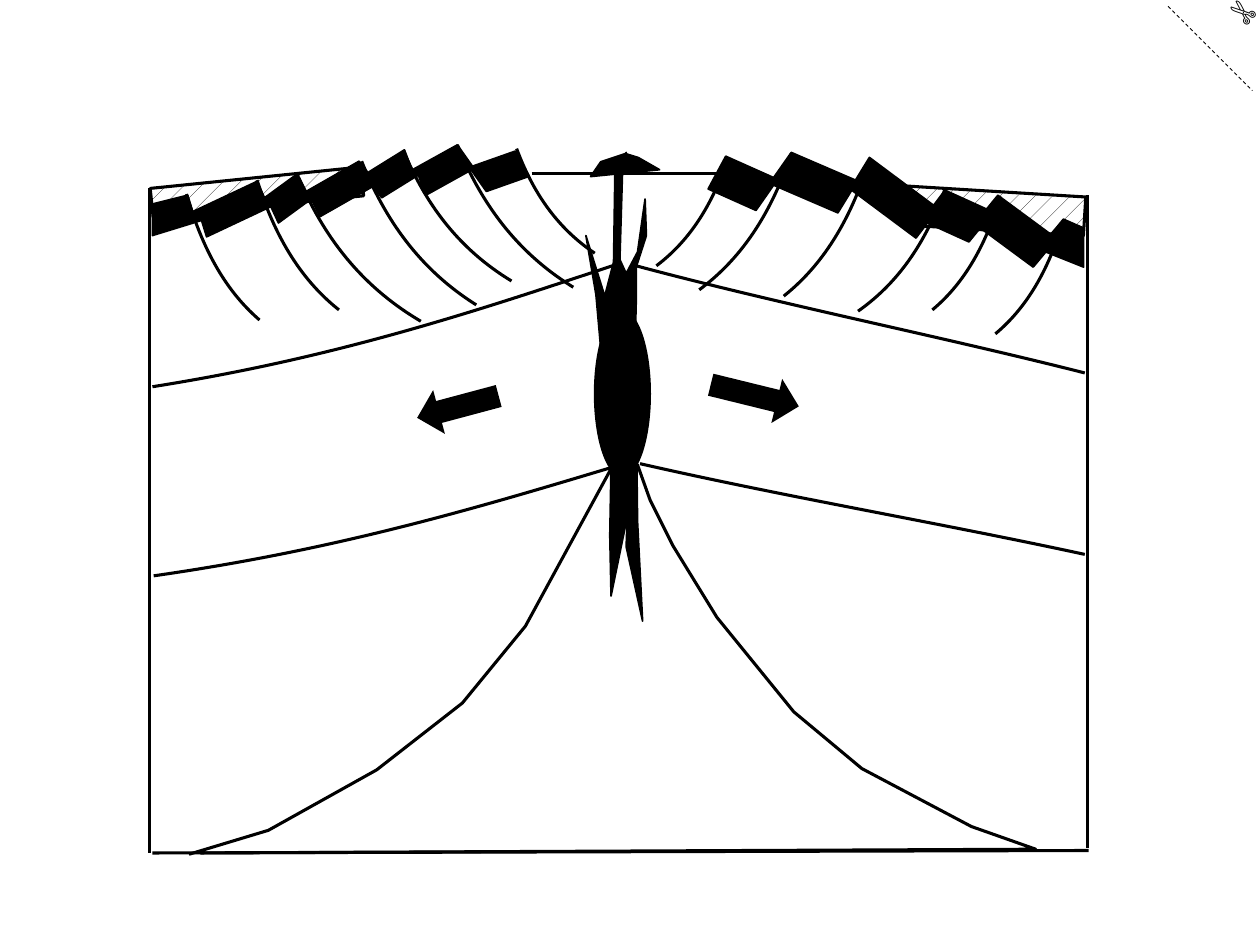
import dataclasses

import lxml.etree
import pptx
import pptx.dml.color
import pptx.enum.dml
import pptx.enum.shapes
import pptx.enum.text
import pptx.oxml.ns
import pptx.util


@dataclasses.dataclass(frozen=True)
class Theme:
    ink = pptx.dml.color.RGBColor(0, 0, 0)
    paper = pptx.dml.color.RGBColor(255, 255, 255)
    font = "Arial"
    size = pptx.util.Pt(18)
    thick = pptx.util.Pt(1.75)
    thin = pptx.util.Pt(1)
    fine = pptx.util.Pt(0.5)


theme = Theme()
qn = pptx.oxml.ns.qn
kinds = pptx.enum.shapes.MSO_SHAPE


def cm(*inches):
    return [pptx.util.Cm(2.54 * n) for n in inches]


def draw(home, spots, width, solid=False, bend=False):
    """Draw an outline; bend reads four points as one cubic curve."""
    dots = [cm(*spot) for spot in spots]
    pen = home.build_freeform(*dots[0])
    pen.add_line_segments(dots[1:], close=solid)
    shape = pen.convert_to_shape()
    shape.shadow.inherit = False
    shape.line.color.rgb = theme.ink
    shape.line.width = width
    if solid:
        shape.fill.solid()
        shape.fill.fore_color.rgb = theme.ink
    else:
        shape.fill.background()
    if bend:
        route = shape._element.find(".//" + qn("a:path"))
        steps = route.findall(qn("a:lnTo"))
        curve = lxml.etree.SubElement(route, qn("a:cubicBezTo"))
        for step in steps:
            curve.append(step[0])
            route.remove(step)
    return shape


deck = pptx.Presentation()
deck.slide_width, deck.slide_height = cm(10, 7.5)
slide = deck.slides.add_slide(deck.slide_layouts[6])
block = slide.shapes.add_group_shape().shapes

# Sediment wedges
for box, turn in [((1.2, 1.41, 1.68, 0.23), 354.2), ((7.19, 1.52, 1.42, 0.31), 3.5)]:
    wedge = block.add_shape(kinds.RECTANGLE, *cm(*box))
    wedge.rotation = turn
    wedge.shadow.inherit = False
    wedge.fill.patterned()
    wedge.fill.pattern = pptx.enum.dml.MSO_PATTERN.PERCENT_5
    wedge.fill.fore_color.rgb = theme.ink
    wedge.fill.back_color.rgb = theme.paper
    wedge.line.color.rgb = theme.ink
    wedge.line.width = theme.thick

# Frame of the block, sea level and cut mark
frame = {"width": theme.thick}
cut = {"width": theme.fine, "dash_style": pptx.enum.dml.MSO_LINE.DASH}
for home, ends, look in [
    (block, (1.19, 1.49, 1.19, 6.77), frame),
    (block, (1.21, 6.77, 8.64, 6.75), frame),
    (block, (8.63, 1.55, 8.63, 6.73), frame),
    (block, (4.22, 1.38, 5.76, 1.38), frame),
    (slide.shapes, (9.27, 0.05, 9.94, 0.72), cut),
]:
    edge = home.add_connector(pptx.enum.shapes.MSO_CONNECTOR.STRAIGHT, *cm(*ends))
    edge.line.color.rgb = theme.ink
    for key, value in look.items():
        setattr(edge.line, key, value)
    lxml.etree.SubElement(edge._element.spPr, qn("a:effectLst"))

# Faults and layer bounds: ends, bent by shares of their width and height
faults = [
    (1.48, 1.54, 2.06, 2.54), (2.04, 1.43, 2.69, 2.46), (2.37, 1.41, 3.34, 2.55),
    (2.87, 1.28, 3.78, 2.42), (3.2, 1.19, 4.06, 2.23), (3.63, 1.15, 4.55, 2.28),
    (4.1, 1.18, 4.72, 2.01), (5.78, 1.25, 5.21, 2.11), (6.28, 1.22, 5.55, 2.3),
    (6.9, 1.27, 6.22, 2.35), (7.5, 1.5, 6.81, 2.47), (7.94, 1.56, 7.4, 2.46),
    (8.44, 1.75, 7.9, 2.65),
]
right = [(5.05, 2.11, 8.61, 2.96), (5.08, 3.68, 8.61, 4.4)]
left = [(4.86, 2.11, 1.21, 3.07), (4.92, 3.69, 1.22, 4.57)]
for curves, pulls in [
    (faults, [(0.2, 0.4), (0.5, 0.75)]),
    (right, [(0.33, 0.37), (0.67, 0.65)]),
    (left, [(0.3, 0.38), (0.6, 0.76)]),
]:
    for x, y, far, deep in curves:
        spots = [(x + (far - x) * a, y + (deep - y) * b)
                 for a, b in [(0, 0), *pulls, (1, 1)]]
        draw(block, spots, theme.thick, bend=True)

# Magma: upper dike, lower dike, dome and chamber
upper = [(5.01, 3.95), (4.85, 4.73), (4.84, 4.25), (4.85, 3.69), (4.73, 2.34),
         (4.65, 1.87), (4.8, 2.35), (4.87, 2.08), (4.88, 1.39), (4.97, 1.21),
         (4.94, 1.39), (4.92, 2.06), (4.97, 2.17), (5.06, 2), (5.12, 1.58),
         (5.13, 1.87), (5.05, 2.12), (5.05, 2.38)]
lower = [(5.06, 4.14), (5.1, 4.93), (4.97, 4.34), (4.99, 3.77), (4.81, 2.57),
         (5.05, 3.28)]
dome = [(4.68, 1.38), (4.77, 1.27), (4.97, 1.22), (5.07, 1.26), (5.23, 1.37)]
for body, turn in [(upper, 0), (lower, 0), (dome, 355.4)]:
    draw(block, body, theme.thin, solid=True).rotation = turn
room = block.add_shape(kinds.OVAL, *cm(4.72, 2.47, 0.44, 1.31))
room.line.color.rgb = theme.ink
room.line.width = theme.thin

# Tilted crust: the base is the top edge moved down and outward
west = [(1.21, 1.62), (1.49, 1.55), (1.53, 1.68), (2.04, 1.44), (2.1, 1.57),
        (2.36, 1.38), (2.43, 1.52), (2.85, 1.28), (2.92, 1.37), (3.21, 1.19),
        (3.27, 1.35), (3.63, 1.15), (3.75, 1.32), (4.09, 1.2)]
east = [(8.6, 1.81), (8.44, 1.74), (8.34, 1.86), (7.92, 1.55), (7.83, 1.66),
        (7.5, 1.51), (7.41, 1.63), (6.9, 1.25), (6.79, 1.43), (6.28, 1.21),
        (6.14, 1.41), (5.76, 1.24)]
for top, dx, dy in [(west, 0.11, 0.2), (east, -0.14, 0.26)]:
    base = [(x + dx, y + dy) for x, y in top[1:]]
    rim, level = top[0]
    draw(block, [*top, *base[::-1], (rim, level + dy + 0.05)], theme.thin, solid=True)

# Rising mantle
mantle = [(1.5, 6.78), (2.13, 6.59), (2.99, 6.11), (3.67, 5.58), (4.17, 4.97),
          (4.85, 3.72), (5.01, 3.66), (5.06, 3.69), (5.16, 3.97), (5.34, 4.33),
          (5.69, 4.9), (6.3, 5.65), (6.84, 6.1), (7.71, 6.56), (8.22, 6.74),
          (1.59, 6.77)]
draw(slide.shapes, mantle, theme.thick)

# Arrows of spreading
east_way = slide.shapes.add_shape(kinds.RIGHT_ARROW, *cm(5.63, 2.96, 0.72, 0.36))
west_way = slide.shapes.add_shape(kinds.RIGHT_ARROW, *cm(3.3, 3.05, 0.67, 0.36))
east_way.rotation, west_way.rotation = 13.8, 345
west_way._element.spPr.xfrm.set("flipH", "1")
for arrow in (east_way, west_way):
    arrow.line.fill.background()
for shape in (room, east_way, west_way):
    shape.shadow.inherit = False
    shape.fill.solid()
    shape.fill.fore_color.rgb = theme.ink

# Scissors
note = slide.shapes.add_textbox(*cm(9.41, 0.18, 0.42, 0.4))
note.rotation = 220.5
look = {"word_wrap": True, "auto_size": pptx.enum.text.MSO_AUTO_SIZE.NONE,
        "margin_top": pptx.util.Cm(1.09), "margin_bottom": 0}
for key, value in look.items():
    setattr(note.text_frame, key, value)
run = note.text_frame.paragraphs[0].add_run()
run.text = "✄"
for key, value in {"name": theme.font, "size": theme.size}.items():
    setattr(run.font, key, value)
run.font.color.rgb = theme.ink

deck.save("out.pptx")
